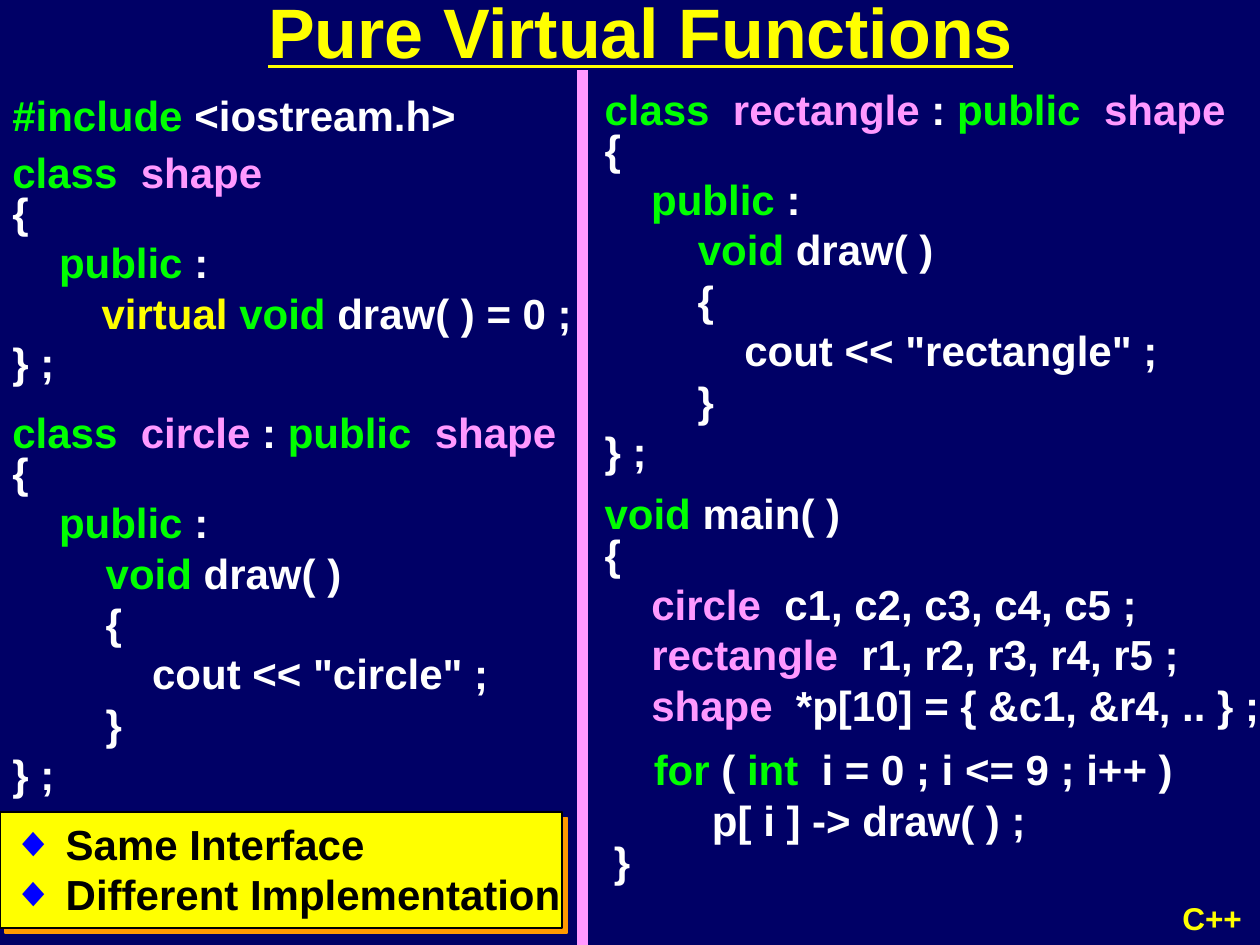
"""Build the slide on pure virtual functions in C++."""
from dataclasses import dataclass

from lxml import etree
from pptx import Presentation
from pptx.dml.color import RGBColor
from pptx.enum.shapes import MSO_CONNECTOR, MSO_SHAPE
from pptx.enum.text import MSO_ANCHOR, MSO_AUTO_SIZE, PP_ALIGN
from pptx.oxml.ns import qn
from pptx.util import Pt

RECTANGLE = MSO_SHAPE.RECTANGLE
STRAIGHT = MSO_CONNECTOR.STRAIGHT
TOP = MSO_ANCHOR.TOP
FIT_SHAPE = MSO_AUTO_SIZE.SHAPE_TO_FIT_TEXT
LEFT, CENTER = PP_ALIGN.LEFT, PP_ALIGN.CENTER


@dataclass(frozen=True)
class Theme:
    """Colours, font and type sizes of the slide."""
    background: str = "000066"
    keyword: str = "00FF00"
    type_name: str = "FF99FF"
    code: str = "FFFFFF"
    accent: str = "FFFF00"
    ink: str = "000000"
    bullet: str = "0000FF"
    shadow: str = "FF9900"
    font: str = "Arial"
    title_size: int = 40
    body_size: int = 24
    footer_size: int = 18


@dataclass
class Line:
    """One paragraph of coloured runs with its spacing."""
    runs: list
    spacing: float = 1.0
    before: float = 0


THEME = Theme()


def keyword(text):
    """Return a run in the keyword colour."""
    return text, THEME.keyword


def type_name(text):
    """Return a run in the colour of class names."""
    return text, THEME.type_name


def code(text):
    """Return a run in the plain code colour."""
    return text, THEME.code


def accent(text):
    """Return a run in the accent colour."""
    return text, THEME.accent


def opening(*header):
    """Return a header line and its opening brace, set tightly."""
    return [Line(list(header), 0.8), Line([code("{")], 0.8)]


def public_label():
    """Return the line that opens the public section."""
    return Line([code("    "), keyword("public"), code(" :")])


def derived_class(name):
    """Return the lines of a class derived from shape."""
    return [
        *opening(keyword("class  "), type_name(name), code(" : "),
                 keyword("public  "), type_name("shape")),
        public_label(),
        Line([code("        "), keyword("void"), code(" draw( )")]),
        Line([code("        {")]),
        Line([code(f'            cout << "{name}" ;')]),
        Line([code("        }")]),
        Line([code("} ;")]),
    ]


def declaration(name, variables):
    """Return an indented variable declaration."""
    return Line([code("    "), type_name(name), code(f"  {variables} ;")])


def write_lines(frame, lines, size, align=LEFT):
    """Write lines into a text frame and return its paragraphs."""
    for index, line in enumerate(lines):
        paragraph = frame.paragraphs[0] if index == 0 else frame.add_paragraph()
        paragraph.alignment = align
        paragraph.line_spacing = line.spacing
        paragraph.space_before = Pt(line.before)
        for text, color in line.runs:
            run = paragraph.add_run()
            run.text = text
            run.font.name = THEME.font
            run.font.size = Pt(size)
            run.font.bold = True
            run.font.color.rgb = RGBColor.from_string(color)
    return frame.paragraphs


def add_text(slide, box, lines, size=THEME.body_size, wrap=False, align=LEFT):
    """Add a text box that fits its lines."""
    frame = slide.shapes.add_textbox(*map(Pt, box)).text_frame
    frame.word_wrap = wrap
    frame.auto_size = FIT_SHAPE
    return write_lines(frame, lines, size, align)


def add_panel(shapes, box, fill):
    """Add a plain filled rectangle."""
    panel = shapes.add_shape(RECTANGLE, *map(Pt, box))
    panel.shadow.inherit = False
    panel.fill.solid()
    panel.fill.fore_color.rgb = RGBColor.from_string(fill)
    panel.line.fill.background()
    return panel


def add_hard_shadow(panel):
    """Give a panel an unblurred shadow to the lower right."""
    effects = panel._element.spPr.find(qn("a:effectLst"))
    shadow = etree.SubElement(effects, qn("a:outerShdw"), blurRad="0",
                              dist=str(Pt(4.2)), dir="2700000", algn="ctr", rotWithShape="0")
    etree.SubElement(shadow, qn("a:srgbClr"), val=THEME.shadow)


def add_bullet(paragraph, hang):
    """Give a paragraph a diamond bullet with a hanging indent."""
    properties = paragraph._p.get_or_add_pPr()
    properties.set("marL", str(Pt(hang)))
    properties.set("indent", str(-Pt(hang)))
    color = etree.SubElement(properties, qn("a:buClr"))
    etree.SubElement(color, qn("a:srgbClr"), val=THEME.bullet)
    etree.SubElement(properties, qn("a:buFont"), typeface=THEME.font)
    etree.SubElement(properties, qn("a:buChar"), char="◆")


def add_summary(slide, box, points):
    """Add the bulleted summary on its shadowed panel."""
    group = slide.shapes.add_group_shape()
    panel = add_panel(group.shapes, box, THEME.accent)
    panel.line.color.rgb = RGBColor.from_string(THEME.ink)
    panel.line.width = Pt(1)
    add_hard_shadow(panel)
    frame = group.shapes.add_textbox(*map(Pt, box)).text_frame
    frame.word_wrap = False
    frame.margin_right = Pt(0)
    lines = [Line([(point, THEME.ink)]) for point in points]
    for paragraph in write_lines(frame, lines, THEME.body_size):
        add_bullet(paragraph, 30.5)


def add_override(slide, box, line):
    """Add one code line on a panel in the background colour."""
    panel = add_panel(slide.shapes, box, THEME.background)
    frame = panel.text_frame
    frame.word_wrap = True
    frame.auto_size = FIT_SHAPE
    frame.vertical_anchor = TOP
    write_lines(frame, [line], THEME.body_size)


def add_divider(slide, x, top, bottom):
    """Add the vertical rule between the code columns."""
    divider = slide.shapes.add_connector(STRAIGHT, Pt(x), Pt(top), Pt(x), Pt(bottom))
    divider.line.color.rgb = RGBColor.from_string(THEME.type_name)
    divider.line.width = Pt(6)
    etree.SubElement(divider._element.spPr, qn("a:effectLst"))


def main():
    """Build and save the slide."""
    deck = Presentation()
    deck.slide_width, deck.slide_height = Pt(720), Pt(540)
    slide = deck.slides.add_slide(deck.slide_layouts[6])
    slide.background.fill.solid()
    slide.background.fill.fore_color.rgb = RGBColor.from_string(THEME.background)

    add_text(slide, (0, 234.2, 327, 226), derived_class("circle"), wrap=True)
    add_text(slide, (0, 85.7, 157, 140), [
        *opening(keyword("class  "), type_name("shape")),
        public_label(), Line([code("} ;")], before=28.4)])
    add_text(slide, (338.4, 49.5, 369.4, 226), derived_class("rectangle"))
    add_text(slide, (338.4, 280.8, 392, 140), [
        *opening(keyword("void"), code(" main( )")),
        declaration("circle", "c1, c2, c3, c4, c5"),
        declaration("rectangle", "r1, r2, r3, r4, r5"),
        declaration("shape", "*p[10] = { &c1, &r4, .. }")], wrap=True)
    add_text(slide, (0, 47.8, 268, 36), [Line([keyword("#include"), code(" <iostream.h>")])])
    add_override(slide, (51, 160.5, 305.3, 36),
                 Line([accent("virtual "), keyword("void "), code("draw( ) = 0 ;")]))
    add_text(slide, (366.5, 421.5, 311, 64), [
        Line([keyword("for"), code(" ( "), keyword("int"), code("  i = 0 ; i <= 9 ; i++ )")]),
        Line([code("     p[ i ] -> draw( ) ;")])])
    add_text(slide, (343.7, 474, 30.2, 36), [Line([code("}")])])
    add_divider(slide, 332.9, 40.3, 540)
    title, = add_text(slide, (108, -9.8, 516.2, 55.4), [Line([accent("Pure Virtual Functions")])],
                      THEME.title_size, wrap=True, align=CENTER)
    title.runs[0].font.underline = True
    add_summary(slide, (0, 464.2, 321, 66), ["Same Interface", "Different Implementation"])
    add_text(slide, (668.6, 510.2, 48.2, 28.8), [Line([accent("C++")])], THEME.footer_size)
    deck.save("out.pptx")


if __name__ == "__main__":
    main()
